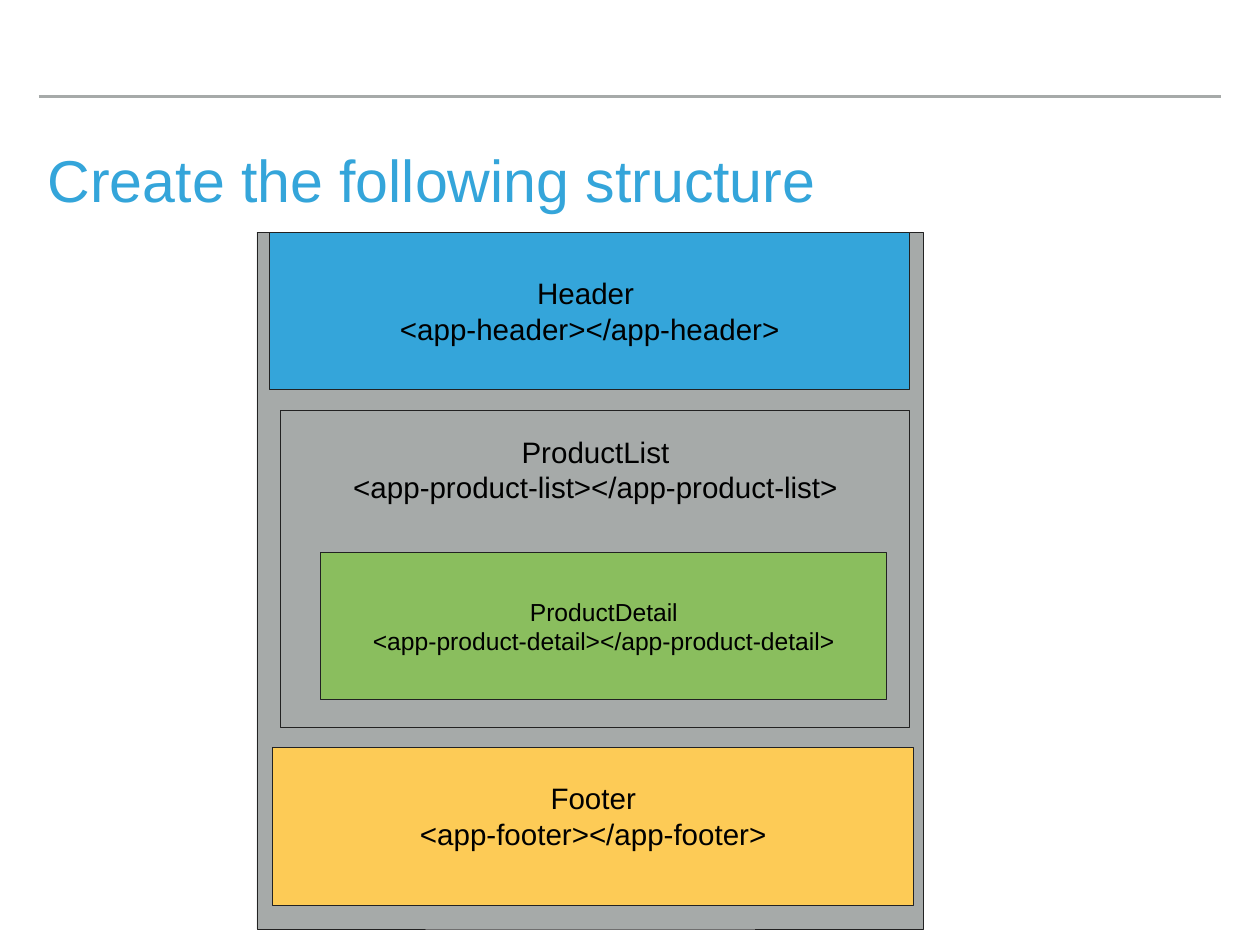
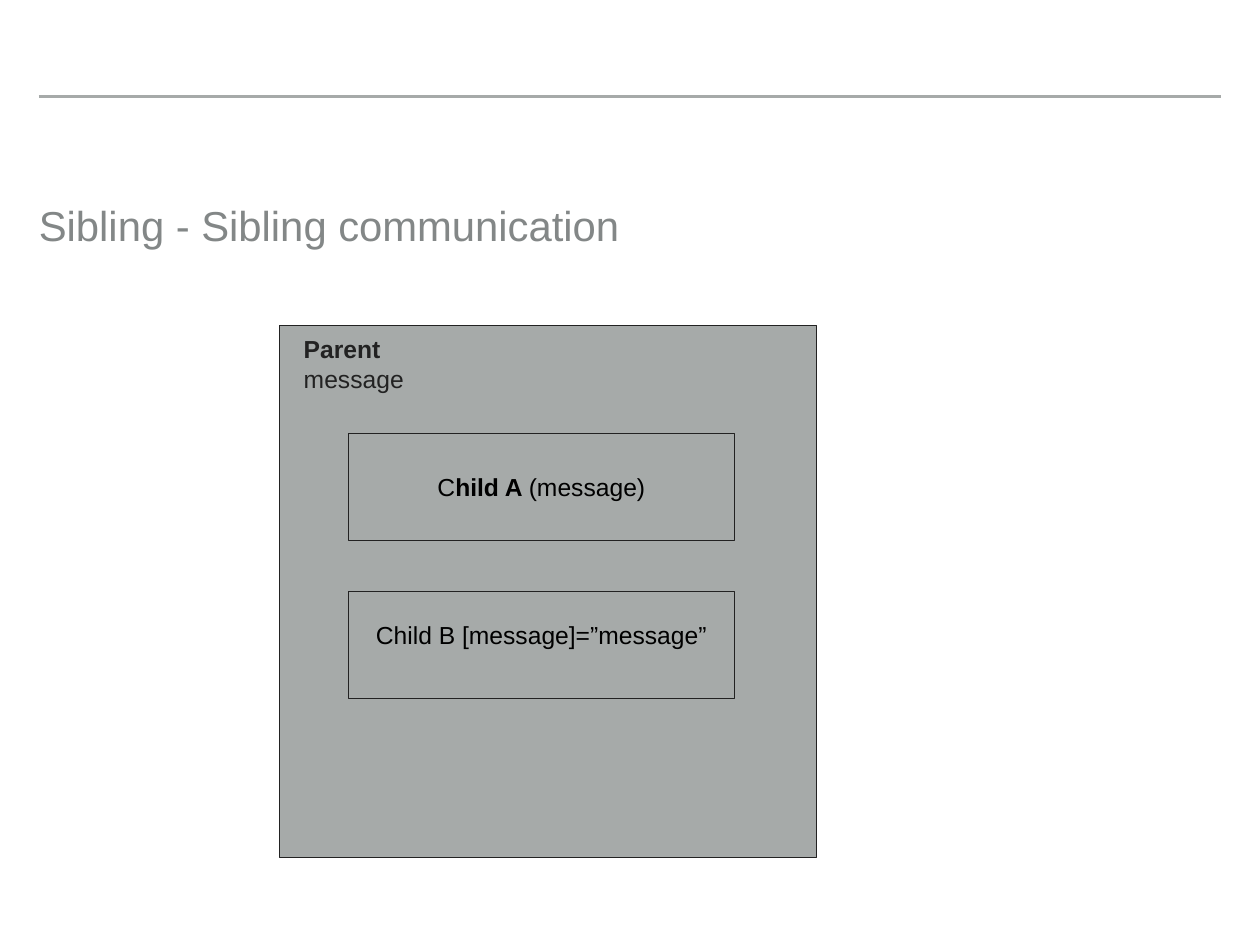
import pptx
import pptx.dml.color
import pptx.enum.shapes
import pptx.enum.text
import pptx.util
from lxml import etree

Inches, Pt = pptx.util.Inches, pptx.util.Pt
ALIGN = pptx.enum.text.PP_ALIGN
ANCHOR = pptx.enum.text.MSO_ANCHOR

COLORS = {"blue": "34A5DA", "gray": "A6AAA9", "yellow": "FDCB56", "green": "8ABE5E",
          "outline": "222222", "black": "000000", "heading": "838787"}
FONT = "Arial"
INSET = 0.1

# Content: each paragraph is a list of (text, bold) runs
# Boxes: place, fill, text size, space kept below the text, paragraphs
STRUCTURE_BOXES = [
    ((2.9, 2.62, 7.52, 7.87), "gray", 24, INSET, []),
    ((3.04, 2.62, 7.23, 1.78), "blue", 24, INSET,
     [[("Header ", False)], [("<app-header></app-header>", False)]]),
    ((3.08, 8.44, 7.23, 1.78), "yellow", 24, 0.34,
     [[("Footer", False)], [("<app-footer></app-footer>", False)]]),
    ((3.17, 4.63, 7.1, 3.58), "gray", 24, 2.34,
     [[("ProductList", False)], [("<app-product-list></app-product-list>", False)]]),
    ((3.62, 6.24, 6.39, 1.66), "green", 20, INSET,
     [[("ProductDetail", False)], [("<app-product-detail></app-product-detail>", False)]]),
]
SIBLING_BOXES = [
    ((3.15, 3.67, 6.07, 6.01), "gray", 20, INSET, []),
    ((3.93, 4.89, 4.36, 1.21), "gray", 20, INSET,
     [[("C", False), ("hild A ", True), ("(message)", False)]]),
    ((3.93, 6.68, 4.36, 1.21), "gray", 20, 0.34,
     [[("Child B [message]=”message”", False)]]),
]
# Labels: place, text size, colour, line spacing, paragraphs
STRUCTURE_LABELS = [
    ((0.44, 1.68, 13.34, 0.79), 48, "blue", 0.8,
     [[("Create the following structure", False)]]),
]
SIBLING_LABELS = [
    ((0.34, 2.15, 13.33, 0.8), 34, "heading", None,
     [[("Sibling - Sibling communication", False)]]),
    ((3.33, 3.67, 5.5, 0.88), 20, "outline", None,
     [[("Parent", True)], [("message", False)]]),
]
SLIDES = [(STRUCTURE_BOXES, STRUCTURE_LABELS), (SIBLING_BOXES, SIBLING_LABELS)]


def rgb(name):
    return pptx.dml.color.RGBColor.from_string(COLORS[name])


def write(frame, paragraphs, size, color, align, anchor, bottom=INSET, spacing=None):
    frame.word_wrap = True
    frame.vertical_anchor = anchor
    frame.margin_left = frame.margin_right = frame.margin_top = Inches(INSET)
    frame.margin_bottom = Inches(bottom)
    for index, runs in enumerate(paragraphs):
        paragraph = frame.add_paragraph() if index else frame.paragraphs[0]
        paragraph.alignment = align
        if spacing:
            paragraph.line_spacing = spacing
        for text, bold in runs:
            run = paragraph.add_run()
            run.text = text
            run.font.name, run.font.size, run.font.bold = FONT, Pt(size), bold
            run.font.color.rgb = rgb(color)


def add_rule(slide):
    rule = slide.shapes.add_connector(
        pptx.enum.shapes.MSO_CONNECTOR.STRAIGHT,
        Inches(0.44), Inches(1.09), Inches(13.78), Inches(1.09))
    rule.line.color.rgb = rgb("gray")
    rule.line.width = Pt(2)
    etree.SubElement(rule._element.spPr, pptx.oxml.ns.qn("a:effectLst"))


def add_box(slide, place, fill, size, bottom, paragraphs):
    box = slide.shapes.add_shape(
        pptx.enum.shapes.MSO_SHAPE.RECTANGLE, *map(Inches, place))
    box.shadow.inherit = False
    box.fill.solid()
    box.fill.fore_color.rgb = rgb(fill)
    box.line.color.rgb = rgb("outline")
    box.line.width = Pt(0.75)
    write(box.text_frame, paragraphs, size, "black", ALIGN.CENTER, ANCHOR.MIDDLE, bottom)


def add_label(slide, place, size, color, spacing, paragraphs):
    label = slide.shapes.add_textbox(*map(Inches, place))
    write(label.text_frame, paragraphs, size, color, ALIGN.LEFT, ANCHOR.TOP,
          spacing=spacing)


def main():
    deck = pptx.Presentation()
    deck.slide_width, deck.slide_height = Inches(14.22), Inches(10.67)
    for boxes, labels in SLIDES:
        slide = deck.slides.add_slide(deck.slide_layouts[6])
        add_rule(slide)
        for box in boxes:
            add_box(slide, *box)
        for label in labels:
            add_label(slide, *label)
    deck.save("out.pptx")


if __name__ == "__main__":
    main()
